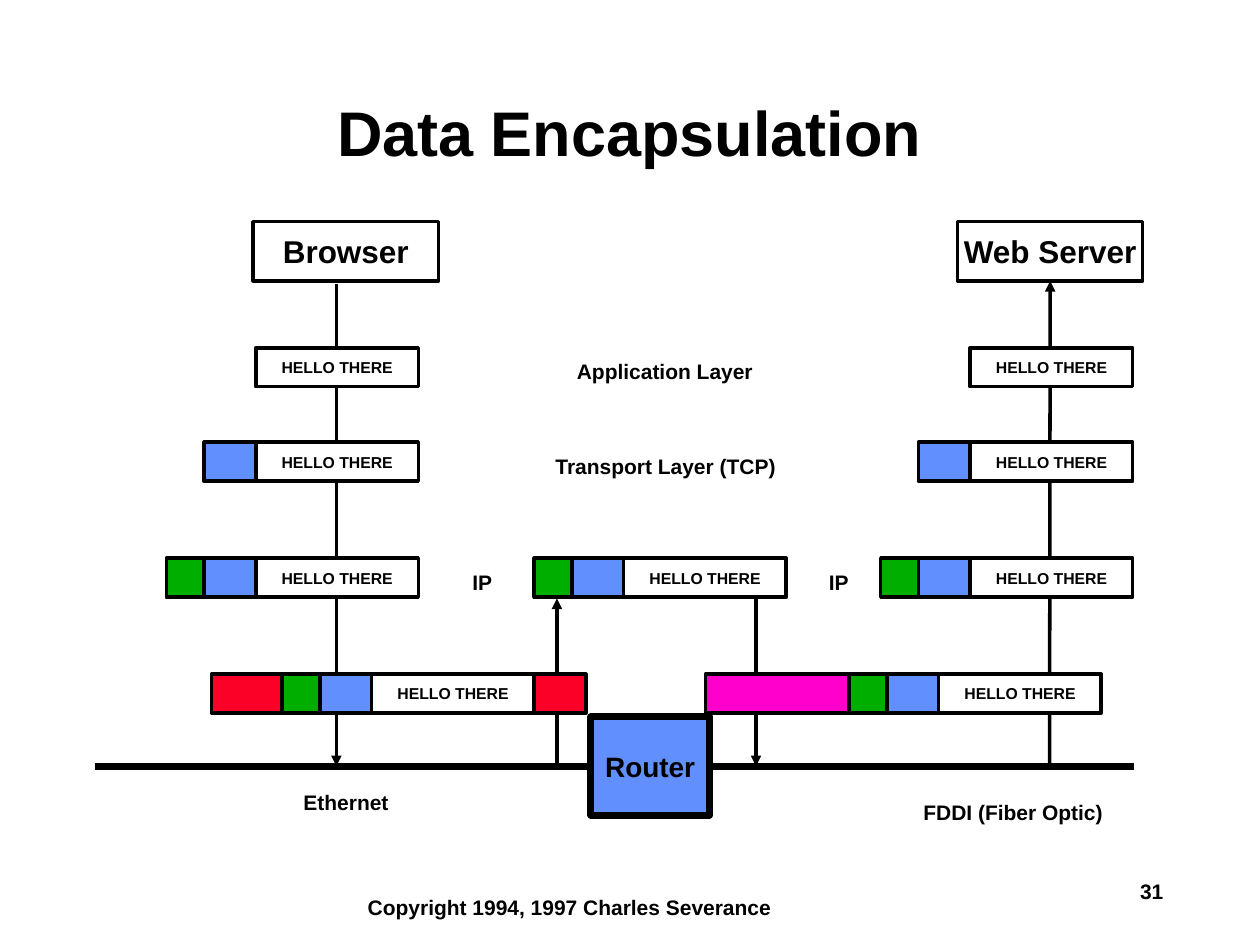
from dataclasses import dataclass

import pptx
import pptx.dml.color
import pptx.enum.shapes
import pptx.enum.text
import pptx.oxml.xmlchemy
import pptx.util
from pptx.util import Inches

COLORS = {
    "black": "000000",
    "white": "FFFFFF",
    "blue": "618FFD",
    "green": "00AE00",
    "red": "FC0128",
    "magenta": "FF00CC",
}
FONT = "Arial"
ALIGN = pptx.enum.text.PP_ALIGN
ANCHOR = pptx.enum.text.MSO_ANCHOR

# Rows shared by the packets and lines
APPLICATION_Y, TRANSPORT_Y, NETWORK_Y, LINK_Y = 2.76, 3.51, 4.43, 5.35
BUS_Y = 6.08
STACK_Y = 2.25
PACKET_HEIGHT = 0.31
DATA_WIDTH = 1.29


@dataclass(frozen=True)
class Header:
    """A layer's wrapper, placed by its distance left of the data."""
    color: str
    lead: float
    width: float


TCP = Header("blue", 0.41, 1.30)
IP = Header("green", 0.71, 1.94)
ETHERNET = Header("red", 1.27, 2.97)
FDDI = Header("magenta", 1.85, 3.06)


@dataclass(frozen=True)
class Packet:
    data_left: float
    top: float
    headers: tuple[Header, ...] = ()


@dataclass(frozen=True)
class Box:
    text: str
    left: float
    top: float
    width: float
    height: float
    color: str = "white"
    size: int = 18
    line_width: int = 2


@dataclass(frozen=True)
class Label:
    text: str
    left: float
    top: float
    width: float
    height: float = 0.3
    size: int = 12
    wrap: bool = False
    centered: bool = False


@dataclass(frozen=True)
class Line:
    x1: float
    y1: float
    x2: float
    y2: float
    width: int = 2
    arrow: bool = True


CLIENT_X, SERVER_X, ROUTER_X = 2.03, 7.70, 4.95
PACKETS = [
    Packet(2.95, LINK_Y, (ETHERNET, IP, TCP)),
    Packet(7.45, LINK_Y, (FDDI, IP, TCP)),
    Packet(ROUTER_X, NETWORK_Y, (IP, TCP)),
]
for host_x in (CLIENT_X, SERVER_X):
    PACKETS += [
        Packet(host_x, APPLICATION_Y),
        Packet(host_x, TRANSPORT_Y, (TCP,)),
        Packet(host_x, NETWORK_Y, (IP, TCP)),
    ]

CLIENT = Box("Browser", 2.01, 1.76, 1.47, 0.47)
SERVER = Box("Web Server", 7.60, 1.76, 1.47, 0.47)
ROUTER = Box("Router", 4.69, 5.69, 0.94, 0.78, "blue", 16, 4)

SERVER_LINE = Line(8.33, BUS_Y, 8.33, STACK_Y)
FLOW_LINES = [
    Line(4.42, BUS_Y, 4.42, 4.75),
    Line(6.00, 4.75, 6.00, BUS_Y),
    Line(2.67, STACK_Y, 2.67, BUS_Y),
]
ETHERNET_BUS = Line(4.69, BUS_Y, 0.75, BUS_Y, 4, False)
FDDI_BUS = Line(5.63, BUS_Y, 9.00, BUS_Y, 4, False)

LABELS = [
    Label("Data Encapsulation", 1.08, 0.67, 7.83, 0.75, 36, True, True),
    Label("Application Layer", 4.48, 2.80, 1.60),
    Label("Transport Layer (TCP)", 4.31, 3.55, 1.96),
    Label("IP", 3.65, 4.47, 0.36),
    Label("IP", 6.48, 4.47, 0.36),
    Label("Ethernet", 2.31, 6.22, 0.88),
    Label("FDDI (Fiber Optic)", 7.23, 6.30, 1.63),
    Label("Copyright 1994, 1997 Charles Severance", 2.82, 7.05, 3.41),
    Label("31", 8.95, 6.92, 1.00, wrap=True),
]


def rgb(name: str) -> pptx.dml.color.RGBColor:
    return pptx.dml.color.RGBColor.from_string(COLORS[name])


def write(shape, text: str, size: int, centered: bool, wrap: bool) -> None:
    frame = shape.text_frame
    frame.word_wrap = wrap
    frame.vertical_anchor = ANCHOR.MIDDLE if centered else ANCHOR.TOP
    para = frame.paragraphs[0]
    para.alignment = ALIGN.CENTER if centered else ALIGN.LEFT
    span = para.add_run()
    span.text = text
    span.font.name = FONT
    span.font.size = pptx.util.Pt(size)
    span.font.bold = True
    span.font.color.rgb = rgb("black")


def draw_box(page, box: Box):
    shape = page.shapes.add_shape(
        pptx.enum.shapes.MSO_SHAPE.RECTANGLE,
        Inches(box.left), Inches(box.top), Inches(box.width), Inches(box.height))
    shape.shadow.inherit = False
    shape.fill.solid()
    shape.fill.fore_color.rgb = rgb(box.color)
    shape.line.color.rgb = rgb("black")
    shape.line.width = pptx.util.Pt(box.line_width)
    if box.text:
        write(shape, box.text, box.size, centered=True, wrap=False)
    return shape


def draw_packet(page, packet: Packet) -> None:
    # Outer headers go first, so each inner layer covers the one around it
    for header in packet.headers:
        draw_box(page, Box("", packet.data_left - header.lead, packet.top,
                           header.width, PACKET_HEIGHT, header.color))
    draw_box(page, Box("HELLO THERE", packet.data_left, packet.top,
                       DATA_WIDTH, PACKET_HEIGHT, size=9))


def draw_label(page, label: Label) -> None:
    shape = page.shapes.add_textbox(
        Inches(label.left), Inches(label.top), Inches(label.width), Inches(label.height))
    write(shape, label.text, label.size, label.centered, label.wrap)


def draw_line(page, line: Line):
    connector = page.shapes.add_connector(
        pptx.enum.shapes.MSO_CONNECTOR.STRAIGHT,
        Inches(line.x1), Inches(line.y1), Inches(line.x2), Inches(line.y2))
    connector.line.color.rgb = rgb("black")
    connector.line.width = pptx.util.Pt(line.width)
    if line.arrow:
        tail = pptx.oxml.xmlchemy.OxmlElement("a:tailEnd")
        tail.set("type", "triangle")
        connector.get_or_add_ln().append(tail)
    connector._element.spPr.append(pptx.oxml.xmlchemy.OxmlElement("a:effectLst"))
    return connector


def main() -> None:
    deck = pptx.Presentation()
    deck.slide_width, deck.slide_height = Inches(10), Inches(7.5)
    page = deck.slides.add_slide(deck.slide_layouts[6])

    # Data flow, behind everything else
    for line in FLOW_LINES:
        draw_line(page, line)
    server_line = draw_line(page, SERVER_LINE)

    # Hosts, router and the two networks
    draw_box(page, CLIENT)
    server_line.end_connect(draw_box(page, SERVER), 2)
    router = draw_box(page, ROUTER)
    draw_line(page, ETHERNET_BUS).begin_connect(router, 1)
    draw_line(page, FDDI_BUS).begin_connect(router, 3)

    # Packets and captions
    for packet in PACKETS:
        draw_packet(page, packet)
    for label in LABELS:
        draw_label(page, label)

    deck.save("out.pptx")


if __name__ == "__main__":
    main()
